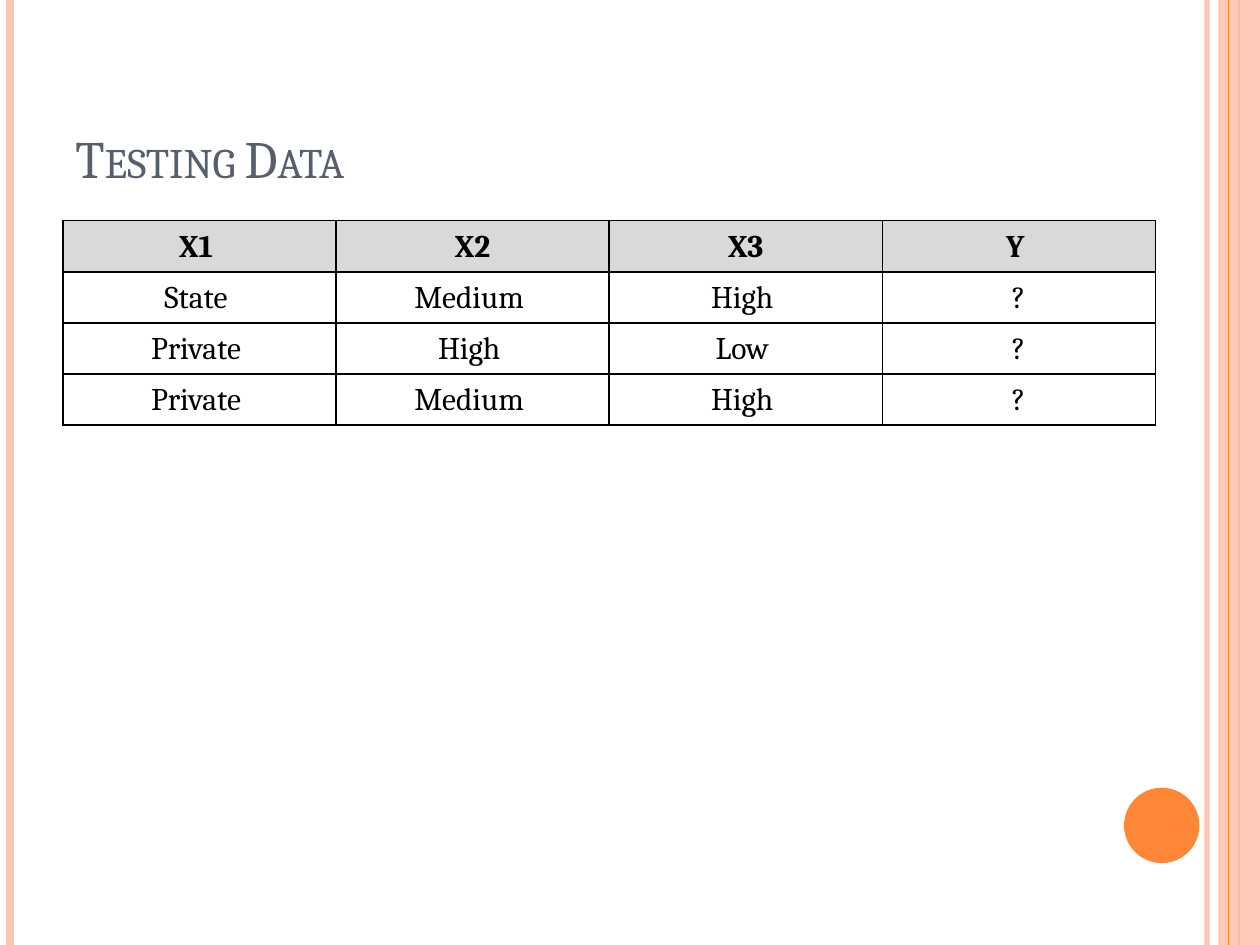
import pptx
import pptx.util
import pptx.oxml
import pptx.oxml.ns
import pptx.dml.color
import pptx.enum.shapes
import pptx.enum.text

Cm, Pt = pptx.util.Cm, pptx.util.Pt
Kind = pptx.enum.shapes.MSO_SHAPE
Anchor = pptx.enum.text.MSO_ANCHOR
Align = pptx.enum.text.PP_ALIGN
NS = pptx.oxml.ns.nsdecls("a")

PEACH, ORANGE, SLATE, BLACK, GREY = "FEC3AE", "FE8637", "575F6D", "000000", "D9D9D9"
WIDE, HIGH = 25.4, 19.05


def paint(text):
    """Turn a hex string into a colour."""
    return pptx.dml.color.RGBColor.from_string(text)


def assign(item, values):
    """Set attributes from a dict."""
    for name, value in values.items():
        setattr(item, name, value)


def fade(shape, alpha):
    """Set the opacity, in percent, of the shape's solid colour."""
    tint = shape._element.spPr.find(".//" + pptx.oxml.ns.qn("a:srgbClr"))
    tint.append(pptx.oxml.parse_xml(f'<a:alpha {NS} val="{alpha * 1000}"/>'))


class Deck:
    """Holds the style and the current slide."""

    font = "Cambria"

    def __init__(self):
        """Start a deck with one blank slide."""
        self.file = pptx.Presentation()
        assign(self.file, {"slide_width": Cm(WIDE), "slide_height": Cm(HIGH)})
        self.slide = self.file.slides.add_slide(self.file.slide_layouts[6])
        self.shapes = self.slide.shapes

    def stripe(self, x, color, width, alpha=100):
        """Draw a line down the whole slide."""
        line = self.shapes.add_connector(
            pptx.enum.shapes.MSO_CONNECTOR.STRAIGHT, Cm(x), 0, Cm(x), Cm(HIGH))
        line.line.width = Pt(width)
        line.line.color.rgb = paint(color)
        line._element.spPr.append(pptx.oxml.parse_xml(f"<a:effectLst {NS}/>"))
        if alpha < 100:
            fade(line, alpha)

    def shape(self, kind, box, color, alpha=100):
        """Draw a filled shape with no outline."""
        shape = self.shapes.add_shape(kind, *map(Cm, box))
        shape.shadow.inherit = False
        shape.fill.solid()
        shape.fill.fore_color.rgb = paint(color)
        shape.line.fill.background()
        if alpha < 100:
            fade(shape, alpha)

    def label(self, frame, text, size, color, bold=False, align=Align.LEFT):
        """Put one styled run in a text frame."""
        para = frame.paragraphs[0]
        para.alignment = align
        run = para.add_run()
        run.text = text
        assign(run.font, {"name": self.font, "size": Pt(size), "bold": bold})
        run.font.color.rgb = paint(color)
        return run

    def title(self, box, text):
        """Add the title in small capitals."""
        frame = self.shapes.add_textbox(*map(Cm, box)).text_frame
        assign(frame, {"word_wrap": True, "vertical_anchor": Anchor.BOTTOM})
        run = self.label(frame, text, 30, SLATE)
        run._r.get_or_add_rPr().set("cap", "small")

    def border(self, cell, width=1):
        """Rule all four sides of a cell."""
        for side in "LRTB":
            cell._tc.get_or_add_tcPr().append(pptx.oxml.parse_xml(
                f'<a:ln{side} {NS} w="{Pt(width)}"><a:solidFill>'
                f'<a:srgbClr val="{BLACK}"/></a:solidFill></a:ln{side}>'))

    def table(self, box, rows):
        """Add a ruled table with a grey, bold first row."""
        table = self.shapes.add_table(len(rows), len(rows[0]), *map(Cm, box)).table
        style = {"vertical_anchor": Anchor.MIDDLE, "margin_left": Cm(0.03),
                 "margin_right": Cm(0.03), "margin_top": Cm(0.03), "margin_bottom": 0}
        for r, row in enumerate(rows):
            for c, text in enumerate(row):
                cell = table.cell(r, c)
                assign(cell, style)
                self.border(cell)
                if r == 0:
                    cell.fill.solid()
                    cell.fill.fore_color.rgb = paint(GREY)
                else:
                    cell.fill.background()
                self.label(cell.text_frame, text, 18, BLACK, r == 0, Align.CENTER)


deck = Deck()
deck.stripe(24.33, PEACH, 3, 93)
deck.stripe(0.21, PEACH, 4.5)
deck.stripe(24.98, ORANGE, 1.5)
deck.shape(Kind.RECTANGLE, (24.56, 0, 0.84, HIGH), PEACH, 87)
deck.stripe(24.77, ORANGE, 0.75)
deck.shape(Kind.OVAL, (22.66, 15.88, 1.52, 1.52), ORANGE)
deck.title((1.27, 0.76, 20.75, 3.18), "Testing Data")
deck.table((1.27, 4.45, 22.02, 4.12), [
    ("X1 ", "X2", "X3", "Y "),
    ("State ", "Medium ", "High ", "?"),
    ("Private ", "High ", "Low ", "?"),
    ("Private ", "Medium ", "High ", "?"),
])
deck.file.save("out.pptx")
